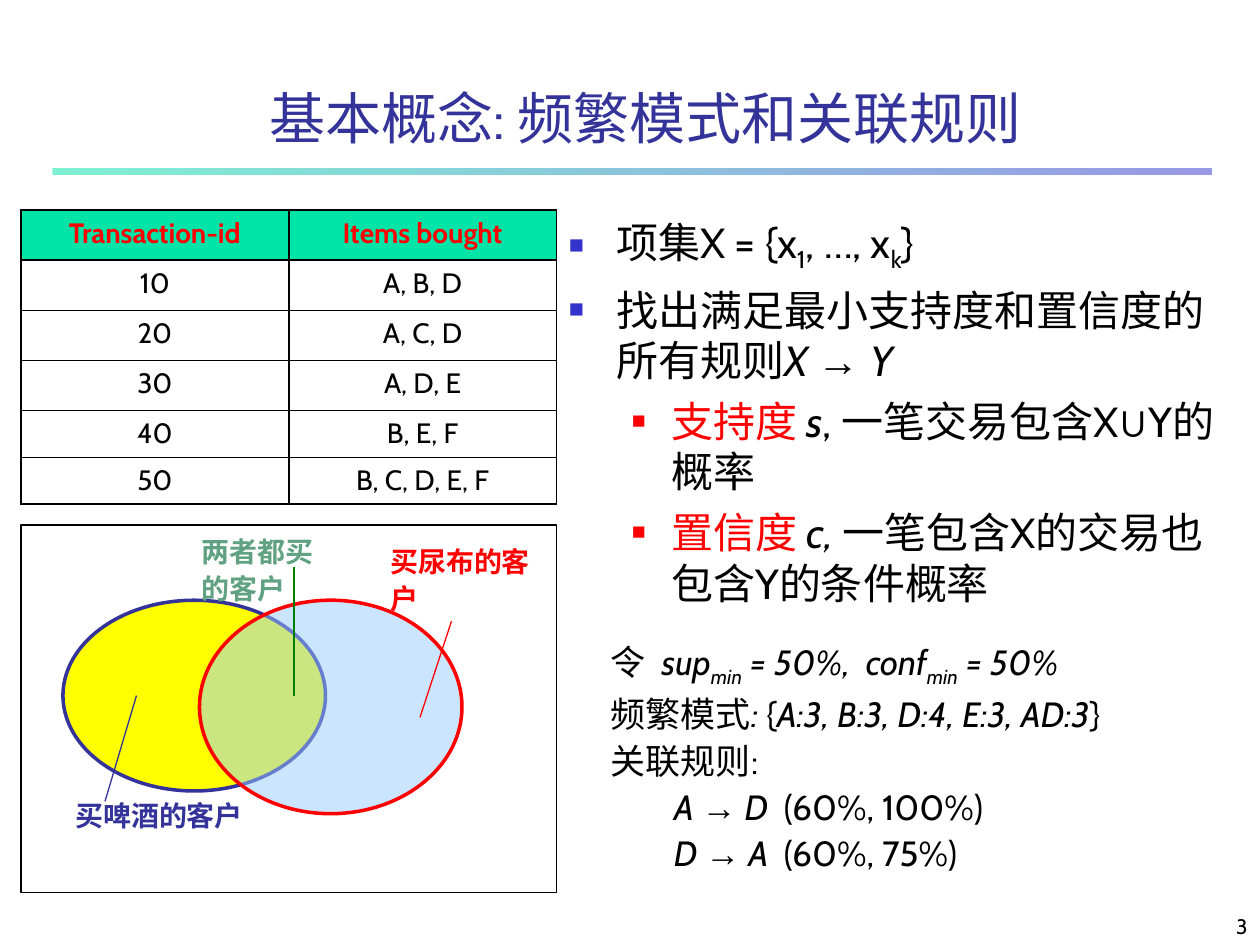
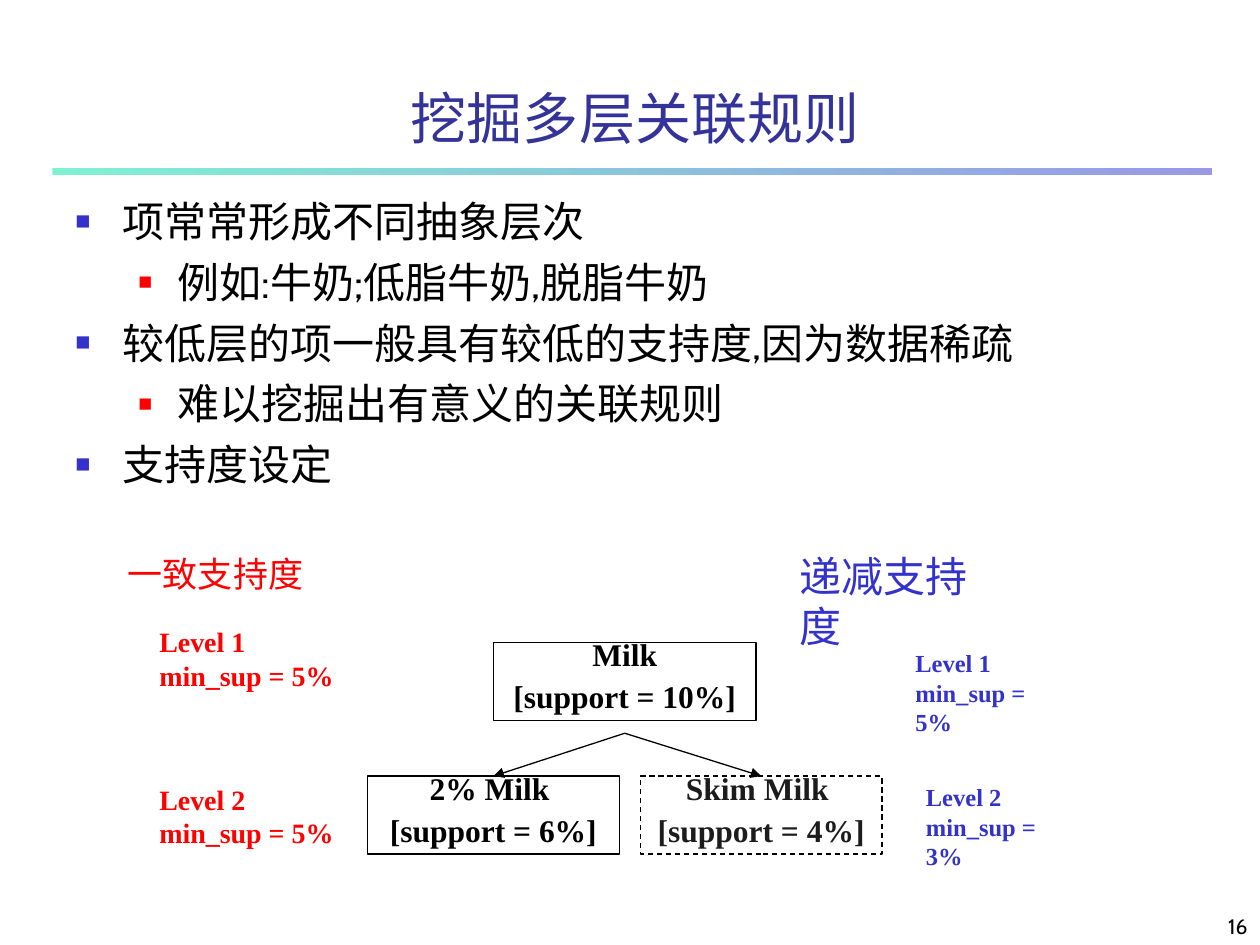
from dataclasses import dataclass

from lxml import etree
from pptx import Presentation
from pptx.dml.color import RGBColor
from pptx.enum.dml import MSO_LINE
from pptx.enum.shapes import MSO_CONNECTOR, MSO_SHAPE
from pptx.enum.text import MSO_ANCHOR, MSO_AUTO_SIZE, PP_ALIGN
from pptx.oxml.ns import qn
from pptx.util import Pt

RECTANGLE, OVAL = MSO_SHAPE.RECTANGLE, MSO_SHAPE.OVAL
STRAIGHT = MSO_CONNECTOR.STRAIGHT
DASH = MSO_LINE.DASH
CENTER, RIGHT = PP_ALIGN.CENTER, PP_ALIGN.RIGHT
TOP, BOTTOM = MSO_ANCHOR.TOP, MSO_ANCHOR.BOTTOM
NO_FIT, FIT_SHAPE = MSO_AUTO_SIZE.NONE, MSO_AUTO_SIZE.SHAPE_TO_FIT_TEXT
TITLE_ONLY = 5


@dataclass(frozen=True)
class Theme:
    sans: str = "Cabin"
    serif: str = "Times New Roman"
    symbols: str = "Arial"
    black: str = "000000"
    white: str = "FFFFFF"
    soft_black: str = "1C1C1C"
    navy: str = "333399"
    blue: str = "3333CC"
    red: str = "FF0000"
    mint: str = "00E4A8"
    green: str = "008000"
    sage: str = "5FA180"
    yellow: str = "FFFF00"
    sky: str = "99CCFF"
    title_size: float = 32
    body_size: float = 24
    summary_size: float = 20
    node_size: float = 18
    label_size: float = 16
    small_size: float = 14
    number_size: float = 12
    hairline: float = 0.75
    thin_rule: float = 0.45
    thick_rule: float = 1.08


THEME = Theme()
BULLETS = (  # left margin, hanging indent, colour, size in percent
    (27, -27, THEME.blue, 60),
    (58.5, -22.5, THEME.red, 55),
)
ITALIC = {"italic": True}
SUB = {"baseline": -25}
ITALIC_SUB = ITALIC | SUB
SYMBOL = {"font": THEME.symbols}
RED = {"color": THEME.red}


def rgb(value):
    return RGBColor.from_string(value)


def add_xml(parent, tag, **attributes):
    values = {key: str(value) for key, value in attributes.items()}
    return etree.SubElement(parent, qn(tag), values)


def write_run(paragraph, text, size, color, font, bold=False, italic=False, baseline=0):
    run = paragraph.add_run()
    run.text = text
    run.font.size, run.font.name = Pt(size), font
    run.font.bold, run.font.italic = bold, italic
    run.font.color.rgb = rgb(color)
    if baseline:
        run._r.get_or_add_rPr().set("baseline", str(baseline * 1000))


def write(frame, *runs, align=None, spacing=None, before=0, margin=0, indent=0,
          bullet=None, size=THEME.body_size, color=THEME.black, font=THEME.sans,
          **style):
    """Append a paragraph; a run is a string or a (string, format changes) pair."""
    is_first = not frame.paragraphs[0].runs
    paragraph = frame.paragraphs[0] if is_first else frame.add_paragraph()
    properties = paragraph._p.get_or_add_pPr()
    properties.set("marL", str(Pt(margin)))
    properties.set("indent", str(Pt(indent)))
    if bullet:
        bullet_color, percent = bullet
        add_xml(add_xml(properties, "a:buClr"), "a:srgbClr", val=bullet_color)
        add_xml(properties, "a:buSzPct", val=percent * 1000)
        add_xml(properties, "a:buFont", typeface=THEME.symbols)
        add_xml(properties, "a:buChar", char="■")
    paragraph.alignment = align
    paragraph.line_spacing = spacing
    paragraph.space_before = Pt(0 if is_first else before)
    base = dict(size=size, color=color, font=font, **style)
    for run in runs:
        text, changes = (run, {}) if isinstance(run, str) else run
        write_run(paragraph, text, **(base | changes))


def add_frame(slide, box, wrap=True, anchor=TOP):
    frame = slide.shapes.add_textbox(*map(Pt, box)).text_frame
    frame.word_wrap = wrap
    frame.auto_size = NO_FIT if wrap else FIT_SHAPE
    frame.vertical_anchor = anchor
    return frame


def add_label(slide, box, *lines, wrap=True, **style):
    frame = add_frame(slide, box, wrap)
    for line in lines:
        write(frame, line, **style)


def add_bullets(slide, box, items):
    """Each item is its level followed by its runs."""
    frame = add_frame(slide, box)
    for level, *runs in items:
        margin, indent, color, percent = BULLETS[level]
        write(frame, *runs, margin=margin, indent=indent, before=6,
              bullet=(color, percent))


def set_opacity(shape, percent):
    for color in shape._element.spPr.iter(qn("a:srgbClr")):
        add_xml(color, "a:alpha", val=percent * 1000)


def add_figure(slide, kind, box, fill=None, line=None, width=THEME.hairline,
               opacity=100, dash=None):
    figure = slide.shapes.add_shape(kind, *map(Pt, box))
    figure.shadow.inherit = False
    if fill:
        figure.fill.solid()
        figure.fill.fore_color.rgb = rgb(fill)
    else:
        figure.fill.background()
    if opacity < 100:
        set_opacity(figure, opacity)
    figure.line.color.rgb = rgb(line)
    figure.line.width = Pt(width)
    figure.line.dash_style = dash
    return figure


def add_line(slide, start, end, color, arrow=False):
    line = slide.shapes.add_connector(STRAIGHT, *map(Pt, start + end))
    line.line.color.rgb = rgb(color)
    line.line.width = Pt(THEME.hairline)
    if arrow:
        add_xml(line.line._get_or_add_ln(), "a:tailEnd", type="triangle")
    add_xml(line._element.spPr, "a:effectLst")


def add_node(slide, box, name, support, color=THEME.black, **look):
    node = add_figure(slide, RECTANGLE, box, THEME.white, THEME.black, **look)
    frame = node.text_frame
    frame.word_wrap = True
    frame.vertical_anchor = TOP
    for line in (name, f"[support = {support}]"):
        write(frame, line, align=CENTER, spacing=0.6, before=11.2, color=color,
              size=THEME.node_size, font=THEME.serif, bold=True)


def set_borders(cell, top, bottom):
    properties = cell._tc.get_or_add_tcPr()
    sides = {"L": THEME.thick_rule, "R": THEME.thick_rule, "T": top, "B": bottom}
    for side, width in sides.items():
        border = add_xml(properties, f"a:ln{side}", w=Pt(width))
        add_xml(add_xml(border, "a:solidFill"), "a:srgbClr", val=THEME.black)


def add_transactions(slide, box, rows, heights):
    table = slide.shapes.add_table(len(rows), len(rows[0]), *map(Pt, box)).table
    table.first_row = table.horz_banding = False
    thick, thin = THEME.thick_rule, THEME.thin_rule
    for r, (row, height) in enumerate(zip(rows, heights)):
        table.rows[r].height = Pt(height)
        is_header = r == 0
        top = thick if r <= 1 else thin
        bottom = thick if r in (0, len(rows) - 1) else thin
        for c, text in enumerate(row):
            cell = table.cell(r, c)
            set_borders(cell, top, bottom)
            if is_header:
                cell.fill.solid()
                cell.fill.fore_color.rgb = rgb(THEME.mint)
            else:
                cell.fill.background()
            write(cell.text_frame, text, align=CENTER, size=THEME.label_size,
                  color=THEME.red if is_header else THEME.black, bold=is_header)


def add_slide(deck, title, title_box, number):
    """Start a slide with its title, gradient band and page number."""
    slide = deck.slides.add_slide(deck.slide_layouts[TITLE_ONLY])
    heading = slide.shapes.title
    heading.left, heading.top, heading.width, heading.height = map(Pt, title_box)
    heading.text_frame.vertical_anchor = BOTTOM
    heading.text_frame.auto_size = NO_FIT
    write(heading.text_frame, title, align=CENTER, size=THEME.title_size,
          color=THEME.navy)

    band = slide.shapes.add_shape(RECTANGLE, *map(Pt, (30, 96, 662.4, 4)))
    band.shadow.inherit = False
    band.fill.gradient()
    band.fill.gradient_angle = 0
    for stop, color in zip(band.fill.gradient_stops, (THEME.mint, THEME.blue)):
        stop.color.rgb = rgb(color)
    set_opacity(band, 50)
    band.line.fill.background()

    write(add_frame(slide, (570, 510, 150, 30), anchor=BOTTOM), number,
          align=RIGHT, size=THEME.number_size)
    return slide


def add_venn(slide):
    add_figure(slide, OVAL, (36, 343, 150, 109), THEME.yellow, THEME.navy, width=2)
    add_figure(slide, OVAL, (114, 343, 150, 122), THEME.sky, THEME.red, width=2,
               opacity=50)
    add_line(slide, (78, 397.5), (60, 458), THEME.navy)
    add_line(slide, (240, 410), (258, 355), THEME.red)
    add_line(slide, (168, 397.5), (168, 324), THEME.green)
    for box, text, color, wrap in (
        ((216, 306, 96, 50), "买尿布的客户", THEME.red, True),
        ((108, 300, 82, 50), "两者都买的客户", THEME.sage, True),
        ((36, 451, 110, 29), "买啤酒的客户", THEME.navy, False),
    ):
        add_label(slide, box, text, wrap=wrap, color=color, spacing=1.1,
                  size=THEME.label_size, font=THEME.serif, bold=True)
    add_figure(slide, RECTANGLE, (12, 300, 306, 210), line=THEME.black)


def add_rule_summary(slide):
    frame = add_frame(slide, (342, 360, 360, 144))
    style = dict(size=THEME.summary_size, spacing=1.1)
    write(frame, "令  ", ("sup", ITALIC), ("min", ITALIC_SUB),
          (" = 50%,  conf", ITALIC), ("min", ITALIC_SUB), (" = 50%", ITALIC), **style)
    write(frame, "频繁模式", (": ", ITALIC), "{",
          ("A:3, B:3, D:4, E:3, AD:3", ITALIC), "}", **style)
    write(frame, "关联规则:", **style)
    for cause, effect, measures in (("A", "D", "(60%, 100%)"), ("D", "A", "(60%, 75%)")):
        write(frame, (f"{cause} ", ITALIC), ("→", SYMBOL), (f" {effect}  ", ITALIC),
              measures, margin=36, **style)


def build_concepts(deck):
    slide = add_slide(deck, "基本概念: 频繁模式和关联规则", (54, 18, 630, 72), "3")
    add_bullets(slide, (318, 120, 390, 252), [
        (0, "项集X = {x", ("1", SUB), ", …, x", ("k", SUB), "}"),
        (0, "找出满足最小支持度和置信度的所有规则", ("X ", ITALIC), ("→ ", SYMBOL),
         ("Y", ITALIC)),
        (1, ("支持度 ", RED), ("s", ITALIC), ", 一笔交易包含X", ("∪", SYMBOL), "Y的概率"),
        (1, ("置信度 ", RED), ("c, ", ITALIC), "一笔包含X的交易也包含Y的条件概率"),
    ])
    add_rule_summary(slide)
    add_venn(slide)
    add_transactions(slide, (12, 120, 306, 168), [
        ("Transaction-id", "Items bought"),
        ("10", "A, B, D"),
        ("20", "A, C, D"),
        ("30", "A, D, E"),
        ("40", "B, E, F"),
        ("50", "B, C, D, E, F"),
    ], [28.6] * 4 + [26.8] * 2)


def build_multilevel(deck):
    slide = add_slide(deck, "挖掘多层关联规则", (54, 30, 618, 60), "16")
    add_bullets(slide, (36, 108, 660, 186), [
        (0, "项常常形成不同抽象层次"),
        (1, "例如:牛奶;低脂牛奶,脱脂牛奶"),
        (0, "较低层的项一般具有较低的支持度,因为数据稀疏"),
        (1, "难以挖掘出有意义的关联规则"),
        (0, "支持度设定"),
    ])
    add_label(slide, (66, 312, 192, 42), "一致支持度", size=THEME.summary_size,
              color=THEME.red, margin=27, indent=-27)
    add_label(slide, (450, 311, 134, 36), "递减支持度", wrap=False, color=THEME.blue)

    child_top, node_height = 443.5, 44.6
    add_node(slide, (282, 367, 150, node_height), "Milk", "10%")
    add_node(slide, (210, child_top, 144, node_height), "2% Milk ", "6%")
    add_node(slide, (366, child_top, 138, node_height), "Skim Milk ", "4%",
             color=THEME.soft_black, opacity=50, dash=DASH)
    for child_x in (282, 435):
        add_line(slide, (357, 419), (child_x, child_top), THEME.black, arrow=True)

    uniform = dict(color=THEME.red, size=THEME.label_size)
    reduced = dict(color=THEME.blue, size=THEME.small_size)
    for box, level, threshold, style in (
        ((84, 353.5, 114, 46), 1, "5%", uniform),
        ((84, child_top, 114, 46), 2, "5%", uniform),
        ((516, 367, 101.5, 41), 1, "5%", reduced),
        ((522, child_top, 101.5, 41), 2, "3%", reduced),
    ):
        add_label(slide, box, f"Level {level}", f"min_sup = {threshold}", wrap=False,
                  font=THEME.serif, bold=True, **style)


def main():
    deck = Presentation()
    deck.slide_width, deck.slide_height = Pt(720), Pt(540)
    build_concepts(deck)
    build_multilevel(deck)
    deck.save("out.pptx")


if __name__ == "__main__":
    main()
